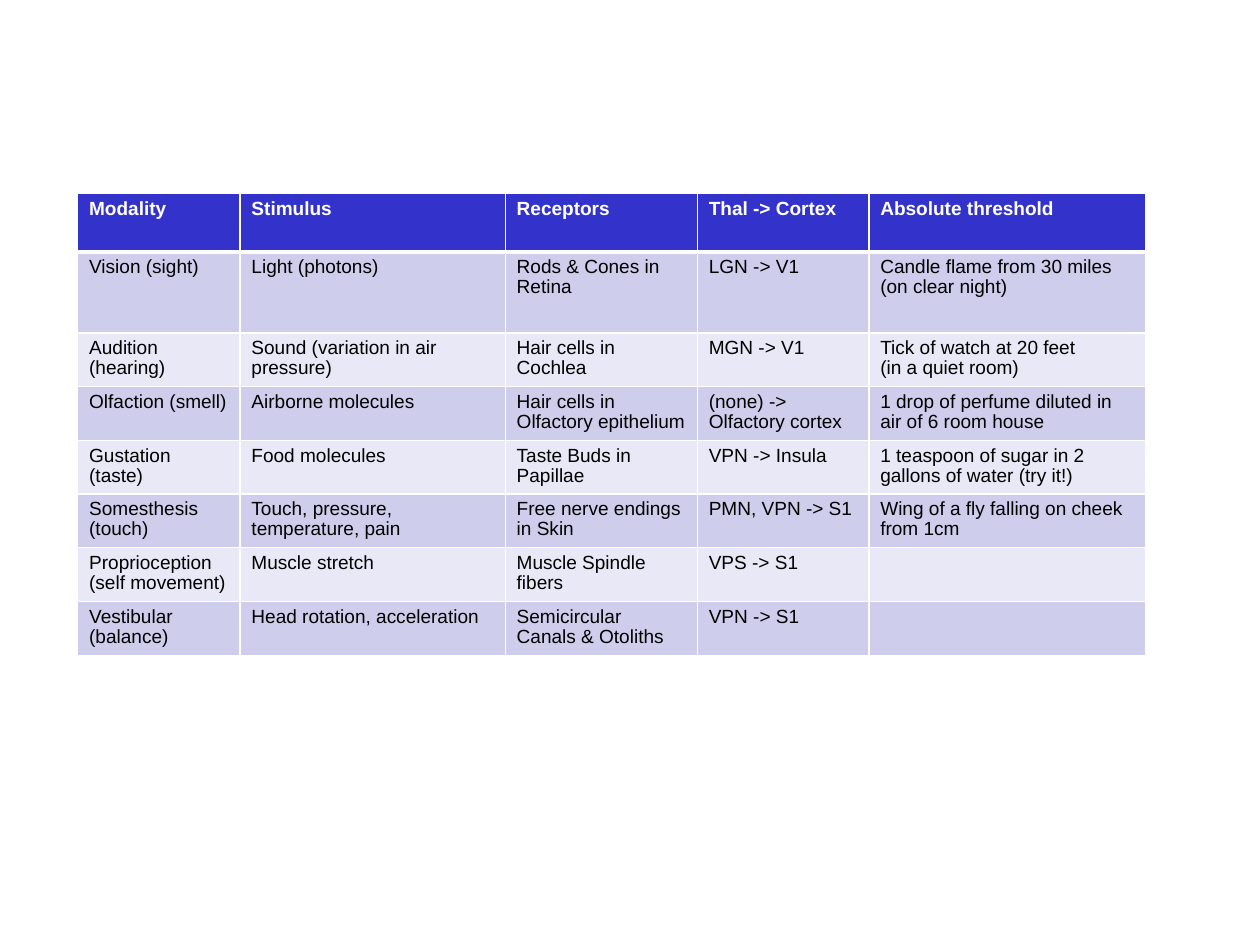
from lxml import etree
from pptx import Presentation
from pptx import util as u
from pptx.dml.color import RGBColor
from pptx.oxml import ns

COLORS = {"header": "3333CC", "dark_band": "CECEEC", "light_band": "E8E8F6",
          "white": "FFFFFF", "black": "000000"}
COLUMN_WIDTHS = [1.42, 2.32, 1.68, 1.5, 2.42]
ROW_HEIGHTS = [0.51, 0.71] + [0.47] * 6
SENSES = [
    ["Modality", "Stimulus", "Receptors", "Thal -> Cortex", "Absolute threshold"],
    ["Vision (sight)", "Light (photons)", "Rods & Cones in Retina", "LGN -> V1",
     "Candle flame from 30 miles (on clear night)"],
    ["Audition (hearing)", "Sound (variation in air pressure)",
     "Hair cells in Cochlea", "MGN -> V1",
     "Tick of watch at 20 feet\n(in a quiet room)"],
    ["Olfaction (smell)", "Airborne molecules", "Hair cells in Olfactory epithelium",
     "(none) -> Olfactory cortex",
     "1 drop of perfume diluted in air of 6 room house"],
    ["Gustation (taste)", "Food molecules", "Taste Buds in Papillae",
     "VPN -> Insula", "1 teaspoon of sugar in 2 gallons of water (try it!)"],
    ["Somesthesis (touch)", "Touch, pressure, temperature, pain",
     "Free nerve endings in Skin", "PMN, VPN -> S1",
     "Wing of a fly falling on cheek from 1cm"],
    ["Proprioception (self movement)", "Muscle stretch", "Muscle Spindle fibers",
     "VPS -> S1", ""],
    ["Vestibular (balance)", "Head rotation, acceleration",
     "Semicircular Canals & Otoliths", "VPN -> S1", ""],
]


def set_borders(cell, widths):
    """Draw white borders, given as points for left, right, top and bottom."""
    properties = cell._tc.get_or_add_tcPr()
    for index, (side, width) in enumerate(zip("LRTB", widths)):
        line = etree.Element(ns.qn(f"a:ln{side}"), w=str(u.Pt(width)))
        fill = etree.SubElement(line, ns.qn("a:solidFill"))
        etree.SubElement(fill, ns.qn("a:srgbClr"), val=COLORS["white"])
        properties.insert(index, line)


def write_cell(cell, words, color, bold):
    """Write the words run by run, with a line break at each newline."""
    para = cell.text_frame.paragraphs[0]
    para.line_spacing = 0.94
    para.font.size = u.Pt(12)
    if not words:
        return
    for index, line in enumerate(words.split("\n")):
        if index:
            para.add_line_break()
        span = para.add_run()
        span.text = line
        span.font.name = "Arial"
        span.font.size = u.Pt(12)
        span.font.bold = bold
        span.font.color.rgb = RGBColor.from_string(COLORS[color])


def add_senses_table(page):
    """Add the table of senses with a header row and alternating bands."""
    frame = page.shapes.add_table(
        len(SENSES), len(COLUMN_WIDTHS), u.Inches(0.68), u.Inches(1.69),
        u.Inches(sum(COLUMN_WIDTHS)), u.Inches(sum(ROW_HEIGHTS)))
    table = frame.table
    for column, width in zip(table.columns, COLUMN_WIDTHS):
        column.width = u.Inches(width)
    for index, (row, height) in enumerate(zip(table.rows, ROW_HEIGHTS)):
        row.height = u.Inches(height)
        is_header = index == 0
        band = "header" if is_header else "dark_band" if index % 2 else "light_band"
        borders = [1, 1, 3 if index == 1 else 1, 3 if is_header else 1]
        for cell, words in zip(row.cells, SENSES[index]):
            cell.fill.solid()
            cell.fill.fore_color.rgb = RGBColor.from_string(COLORS[band])
            set_borders(cell, borders)
            write_cell(cell, words, "white" if is_header else "black", is_header)


def main():
    """Build the slide and save it."""
    deck = Presentation()
    deck.slide_width = u.Inches(11.02)
    deck.slide_height = u.Inches(8.27)
    page = deck.slides.add_slide(deck.slide_layouts[6])
    add_senses_table(page)
    deck.save("out.pptx")


main()
